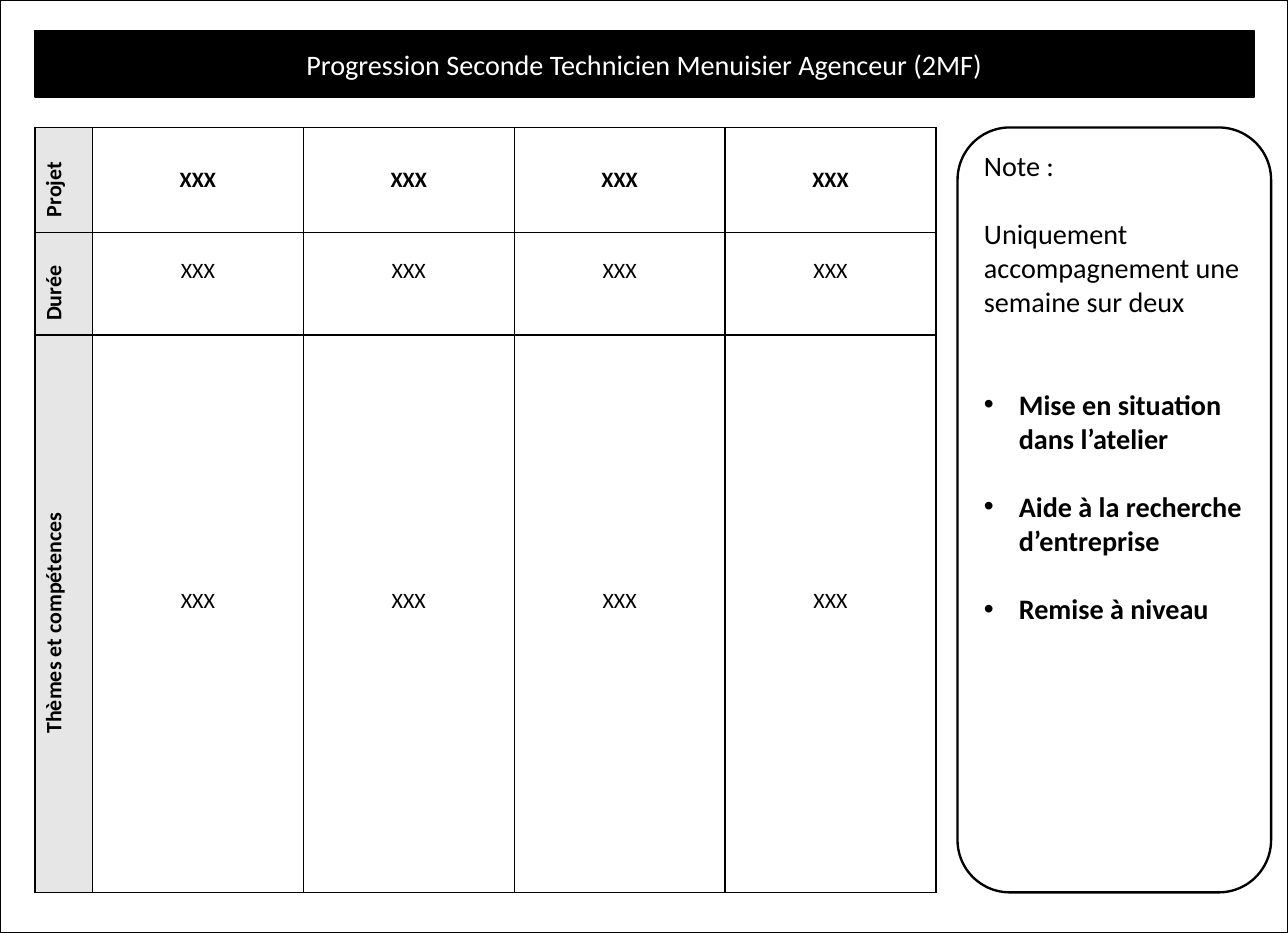
"""Build the yearly progression slide: title bar, planning table and note panel."""
from lxml import etree
from pptx import Presentation
from pptx.dml.color import RGBColor
from pptx.enum.shapes import MSO_SHAPE
from pptx.enum.text import MSO_ANCHOR, MSO_AUTO_SIZE, PP_ALIGN
from pptx.oxml.ns import qn
from pptx.util import Emu, Inches, Pt

BLACK = RGBColor(0x00, 0x00, 0x00)
WHITE = RGBColor(0xFF, 0xFF, 0xFF)
GREY = RGBColor(0xE7, 0xE6, 0xE6)
CENTER, LEFT = PP_ALIGN.CENTER, PP_ALIGN.LEFT
MIDDLE, TOP = MSO_ANCHOR.MIDDLE, MSO_ANCHOR.TOP
RECTANGLE, ROUNDED = MSO_SHAPE.RECTANGLE, MSO_SHAPE.ROUNDED_RECTANGLE
LEFT_EDGE, BODY_TOP, BODY_HEIGHT = 0.31, 1.13, 6.78
COLUMNS = [0.51] + [1.87] * 4
ROWS = [("Projet", 0.93, True, 0.05),
        ("Durée", 0.91, False, 0.28),
        ("Thèmes et compétences", 4.94, False, 0.28)]
NOTES = [("Note :", 0, False),
         ("Uniquement accompagnement une semaine sur deux", 22, False),
         ("Mise en situation dans l’atelier", 44, True),
         ("Aide à la recherche d’entreprise", 22, True),
         ("Remise à niveau", 22, True)]


def write(paragraph, text, size=18, color=BLACK, bold=False, align=CENTER, before=0):
    paragraph.alignment = align
    paragraph.space_before = Pt(before)
    run = paragraph.add_run()
    run.text = text
    run.font.name = "Calibri"
    run.font.size = Pt(size)
    run.font.bold = bold
    run.font.color.rgb = color


def paint(shape, fill, width):
    shape.fill.solid()
    shape.fill.fore_color.rgb = fill
    shape.line.color.rgb = BLACK
    shape.line.width = Pt(width)


presentation = Presentation()
presentation.slide_width = Inches(11.42)
presentation.slide_height = Inches(8.27)
slide = presentation.slides.add_slide(presentation.slide_layouts[5])

title = slide.shapes.title
title.left, title.top = Inches(LEFT_EDGE), Inches(0.27)
title.width, title.height = Inches(10.81), Inches(0.59)
paint(title, BLACK, 1)
title.text_frame.auto_size = MSO_AUTO_SIZE.NONE
title.text_frame.vertical_anchor = MIDDLE
write(title.text_frame.paragraphs[0],
      "Progression Seconde Technicien Menuisier Agenceur (2MF)", color=WHITE)

frame = slide.shapes.add_shape(
    RECTANGLE, 0, 0, presentation.slide_width, presentation.slide_height)
frame.shadow.inherit = False
paint(frame, WHITE, 1)
title.element.addprevious(frame.element)

note = slide.shapes.add_shape(
    ROUNDED, Inches(8.49), Inches(BODY_TOP), Inches(2.78), Inches(BODY_HEIGHT))
note.shadow.inherit = False
paint(note, WHITE, 1.5)
note.text_frame.word_wrap = True
note.text_frame.vertical_anchor = TOP
for index, (text, before, bulleted) in enumerate(NOTES):
    paragraph = (note.text_frame.add_paragraph() if index
                 else note.text_frame.paragraphs[0])
    write(paragraph, text, bold=bulleted, align=LEFT, before=before)
    if bulleted:
        properties = paragraph._p.get_or_add_pPr()
        indent = Inches(0.31)
        properties.set("marL", str(indent))
        properties.set("indent", str(-indent))
        etree.SubElement(properties, qn("a:buFont"), typeface="Arial")
        etree.SubElement(properties, qn("a:buChar"), char="•")

table = slide.shapes.add_table(
    len(ROWS), len(COLUMNS), Inches(LEFT_EDGE), Inches(BODY_TOP),
    Inches(sum(COLUMNS)), Inches(BODY_HEIGHT)).table
table.first_row = table.horz_banding = False
for column, width in zip(table.columns, COLUMNS):
    column.width = Inches(width)
for row, (label, height, bold, bottom) in zip(table.rows, ROWS):
    row.height = Inches(height)
    for index, cell in enumerate(row.cells):
        is_label = index == 0
        cell.vertical_anchor = MIDDLE
        cell.margin_top = Inches(0.05)
        cell.margin_left = Inches(0.05)
        cell.margin_right = Inches(0.22 if is_label else 0.05)
        cell.margin_bottom = Inches(0.05 if is_label else bottom)
        write(cell.text_frame.paragraphs[0], label if is_label else "XXX",
              size=14, bold=is_label or bold)
        properties = cell._tc.get_or_add_tcPr()
        if is_label:
            properties.set("vert", "vert270")
        for side in ("lnL", "lnR", "lnT", "lnB"):
            border = etree.SubElement(properties, qn(f"a:{side}"), w=str(Emu(Pt(1))))
            fill = etree.SubElement(border, qn("a:solidFill"))
            etree.SubElement(fill, qn("a:srgbClr"), val=str(BLACK))
        cell.fill.solid()
        cell.fill.fore_color.rgb = GREY if is_label else WHITE

presentation.save("out.pptx")
